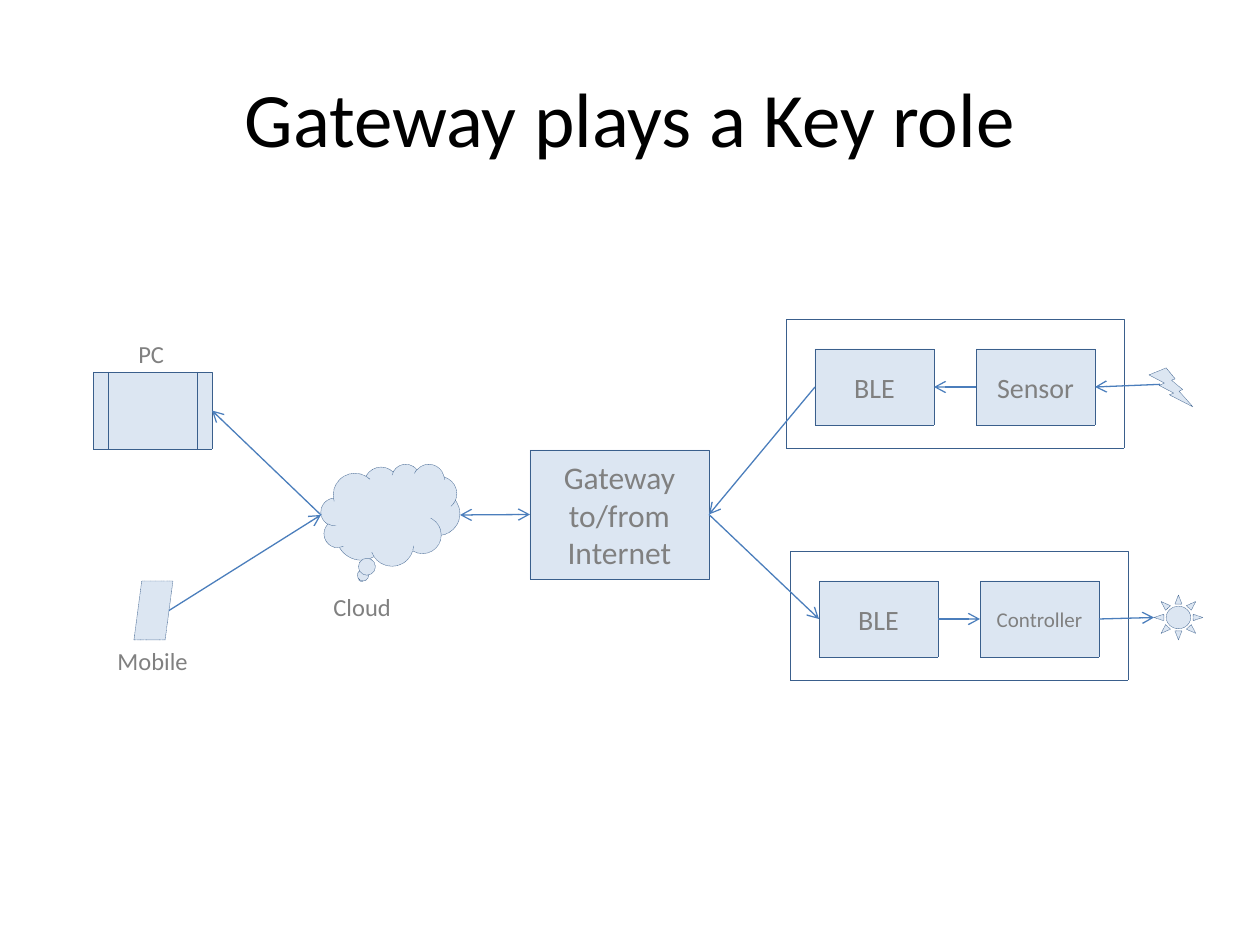
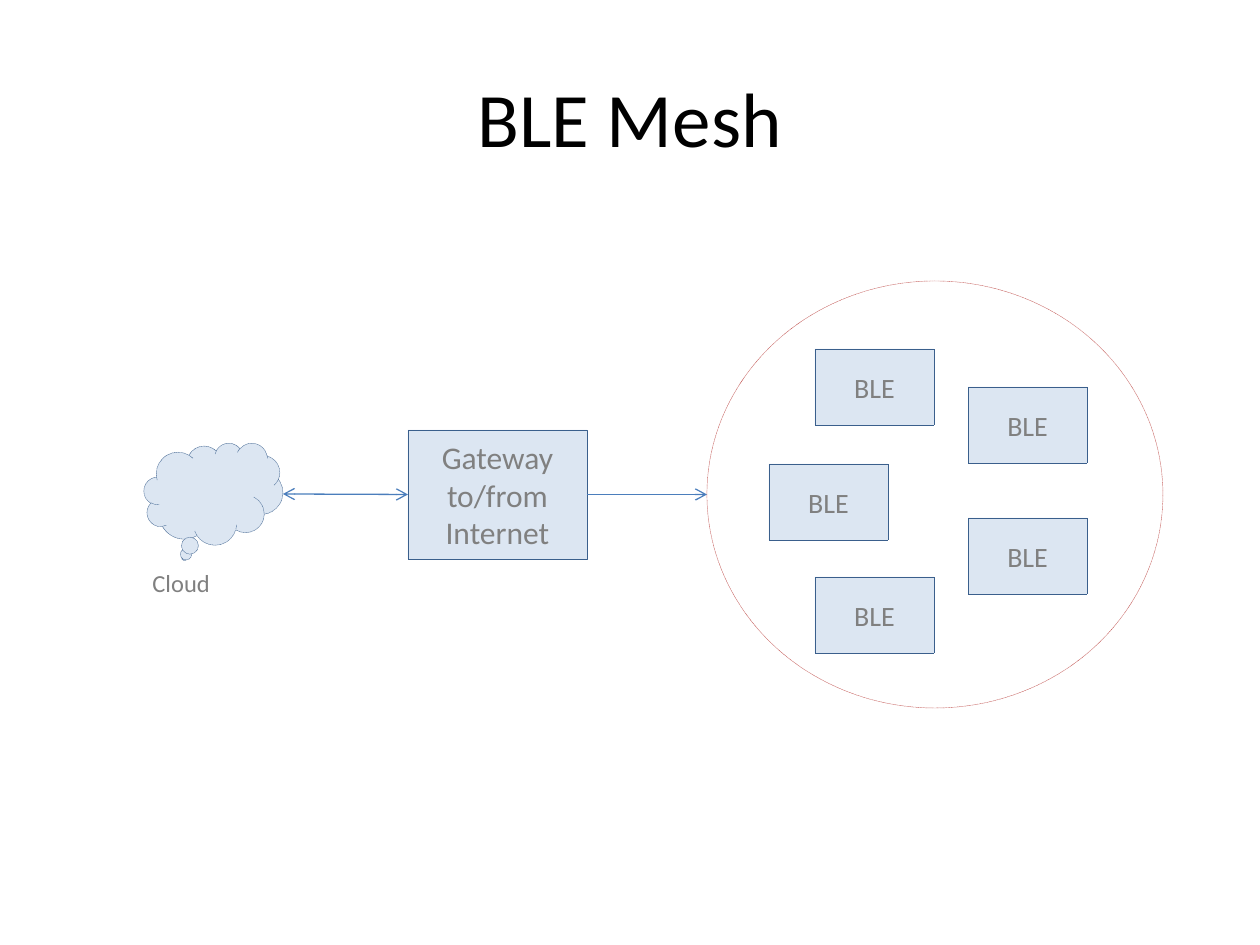
from lxml import etree
from pptx import Presentation
from pptx import util as u
from pptx.dml.color import RGBColor
from pptx.enum import dml, shapes, text
from pptx.oxml.ns import qn

EMU_PER_PX = 914400 / 126
FONT = "Calibri"
COLOURS = {"title": "000000", "label": "808080", "fill": "DCE6F2",
           "edge": "3A5F8C", "arrow": "4B7EBC", "mesh": "C0504D"}
KIND = shapes.MSO_SHAPE
RECT = KIND.RECTANGLE
NODE = (119, 76)
FRAME = (338, 129)
GATEWAY = (179, 129)
CLOUD = (139, 102)
GATEWAY_LINES = ["Gateway", "to/from", "Internet"]
BLE_INSET, PARTNER_INSET, TOP_INSET = 29, 190, 30
LEFT, RIGHT = (0, 0.5), (1, 0.5)


def device(left, top, partner, size):
    """Frame position plus the name and text size of the node beside BLE."""
    return {
        partner + " frame": (RECT, (left, top), FRAME, [], 0, None, "edge"),
        partner + " BLE": (RECT, (left + BLE_INSET, top + TOP_INSET), NODE, ["BLE"], 16, "fill", "edge"),
        partner: (RECT, (left + PARTNER_INSET, top + TOP_INSET), NODE, [partner], size, "fill", "edge"),
    }


def backbone(gateway_at, cloud_at):
    return {
        "gateway": (RECT, gateway_at, GATEWAY, GATEWAY_LINES, 18, "fill", "edge"),
        "cloud": (KIND.CLOUD_CALLOUT, cloud_at, CLOUD, [], 0, "fill", "edge"),
    }


MESH_NODES = [(815, 349), (769, 464), (968, 387), (968, 518), (815, 577)]

# parts: kind, position, size, lines, text size, fill, edge
# links: start part, start side, end part, end side, arrowhead at both ends
SLIDES = [
    {
        "title": "Gateway plays a Key role",
        "parts": {
            **backbone((530, 450), (321, 464)),
            **device(786, 319, "Sensor", 16),
            **device(790, 551, "Controller", 12),
            "mobile": (KIND.FLOWCHART_DATA, (134, 581), (39, 59), [], 0, "fill", "edge"),
            "pc": (KIND.FLOWCHART_PREDEFINED_PROCESS, (93, 372), (119, 77), [], 0, "fill", "edge"),
            "sun": (KIND.SUN, (1154, 595), (49, 45), [], 0, "fill", "edge"),
            "bolt": (KIND.LIGHTNING_BOLT, (1149, 368), (44, 39), [], 0, "fill", "edge"),
        },
        "links": [
            ("Sensor", LEFT, "Sensor BLE", RIGHT, False),
            ("Sensor BLE", LEFT, "gateway", RIGHT, False),
            ("gateway", LEFT, "cloud", RIGHT, True),
            ("Controller BLE", RIGHT, "Controller", LEFT, False),
            ("gateway", RIGHT, "Controller BLE", LEFT, False),
            ("cloud", LEFT, "pc", RIGHT, False),
            ("mobile", (0.9, 0.5), "cloud", LEFT, False),
            ("bolt", (0.25, 0.42), "Sensor", RIGHT, False),
            ("Controller", RIGHT, "sun", LEFT, False),
        ],
        "labels": [("Mobile", 105, 640, 97), ("PC", 126, 333, 52), ("Cloud", 321, 586, 83)],
    },
    {
        "title": "BLE Mesh",
        "parts": {
            **backbone((408, 430), (144, 443)),
            **{f"BLE {i}": (RECT, at, NODE, ["BLE"], 16, "fill", "edge")
               for i, at in enumerate(MESH_NODES, 1)},
            "mesh": (KIND.OVAL, (707, 281), (456, 427), [], 0, None, "mesh"),
        },
        "links": [
            ("gateway", LEFT, "cloud", RIGHT, True),
            ("gateway", RIGHT, "mesh", LEFT, False),
        ],
        "labels": [("Cloud", 140, 562, 83)],
    },
]


def px(*lengths):
    return [u.Emu(round(length * EMU_PER_PX)) for length in lengths]


def colour(name):
    return RGBColor.from_string(COLOURS[name])


def write(frame, lines, size, name, align):
    for i, line in enumerate(lines):
        para = frame.paragraphs[0] if i == 0 else frame.add_paragraph()
        para.alignment = align
        span = para.add_run()
        span.text = line
        span.font.name = FONT
        span.font.size = u.Pt(size)
        span.font.color.rgb = colour(name)


def add_title(page, title):
    frame = page.shapes.add_textbox(*px(63, 38, 1134, 157)).text_frame
    frame.word_wrap = True
    frame.vertical_anchor = text.MSO_ANCHOR.MIDDLE
    write(frame, [title], 44, "title", text.PP_ALIGN.CENTER)


def add_label(page, label, left, top, width):
    frame = page.shapes.add_textbox(*px(left, top, width, 43)).text_frame
    frame.word_wrap = False
    frame.auto_size = text.MSO_AUTO_SIZE.SHAPE_TO_FIT_TEXT
    write(frame, [label], 14, "label", text.PP_ALIGN.LEFT)


def add_part(page, kind, at, size, lines, text_size, fill, edge):
    shape = page.shapes.add_shape(kind, *px(*at, *size))
    shape.shadow.inherit = False
    if fill:
        shape.fill.solid()
        shape.fill.fore_color.rgb = colour(fill)
    else:
        shape.fill.background()
    shape.line.color.rgb = colour(edge)
    shape.line.width = u.Pt(0.25)
    shape.line.dash_style = dml.MSO_LINE.ROUND_DOT
    shape.text_frame.vertical_anchor = text.MSO_ANCHOR.MIDDLE
    write(shape.text_frame, lines, text_size, "label", text.PP_ALIGN.CENTER)


def point_on(part, side):
    (left, top), (width, height) = part[1:3]
    return left + side[0] * width, top + side[1] * height


def add_arrow(page, start, end, both_ends):
    arrow = page.shapes.add_connector(shapes.MSO_CONNECTOR.STRAIGHT, *px(*start, *end))
    arrow.line.color.rgb = colour("arrow")
    arrow.line.width = u.Pt(0.75)
    line = arrow.line._get_or_add_ln()
    for tag in ["a:headEnd", "a:tailEnd"] if both_ends else ["a:tailEnd"]:
        etree.SubElement(line, qn(tag), type="arrow")
    etree.SubElement(arrow._element.spPr, qn("a:effectLst"))


def main():
    deck = Presentation()
    deck.slide_width, deck.slide_height = px(1260, 945)
    for content in SLIDES:
        page = deck.slides.add_slide(deck.slide_layouts[6])
        parts = content["parts"]
        add_title(page, content["title"])
        for part in parts.values():
            add_part(page, *part)
        for start, start_side, end, end_side, both_ends in content["links"]:
            add_arrow(page, point_on(parts[start], start_side),
                      point_on(parts[end], end_side), both_ends)
        for label in content["labels"]:
            add_label(page, *label)
    deck.save("out.pptx")


if __name__ == "__main__":
    main()
